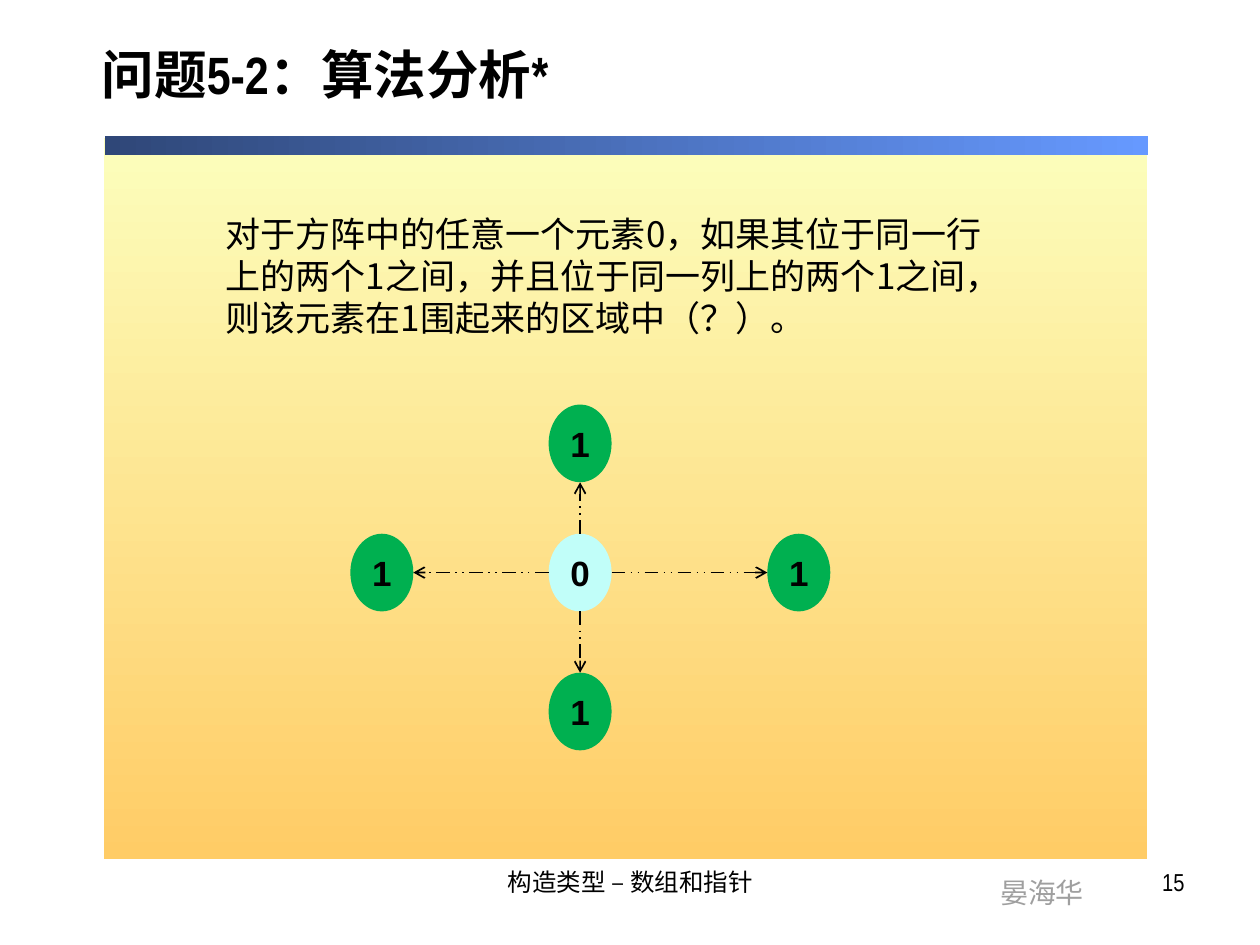
"""Build the slide that analyses the enclosed-region problem on a square matrix."""
from dataclasses import dataclass
from typing import Optional

from lxml.etree import SubElement
from pptx import Presentation
from pptx.dml.color import RGBColor as Rgb
from pptx.enum.dml import MSO_LINE_DASH_STYLE as Dash
from pptx.enum.shapes import MSO_CONNECTOR_TYPE as Connector, MSO_SHAPE as Preset
from pptx.enum.text import MSO_ANCHOR as Anchor, PP_ALIGN as Align
from pptx.oxml.ns import qn
from pptx.util import Pt


@dataclass(frozen=True)
class Theme:
    ink: str = "000000"
    muted: str = "9F9F9F"
    one: str = "00B050"
    zero: str = "C1FEF9"
    panel: tuple[str, str] = ("FCFEBC", "FFCC66")
    bar: tuple[str, str] = ("2F4778", "6699FF")
    sans: str = "Arial"
    narrow: str = "Arial Narrow"
    chinese: str = "Noto Sans CJK SC"
    title_size: float = 30
    body_size: float = 20
    author_size: float = 16
    footer_size: float = 14


@dataclass(frozen=True)
class Area:
    left: float
    top: float
    width: float
    height: float

    def lengths(self) -> tuple:
        return Pt(self.left), Pt(self.top), Pt(self.width), Pt(self.height)


@dataclass(frozen=True)
class Neighbour:
    across: int
    down: int
    distance: float


THEME = Theme()
CENTRE_X, CENTRE_Y = 331.5, 327.2
CELL_WIDTH, CELL_HEIGHT = 36, 44.4
NEIGHBOURS = (
    Neighbour(-1, 0, 113.3),
    Neighbour(0, 1, 79.4),
    Neighbour(0, -1, 73.8),
    Neighbour(1, 0, 125),
)


def write(shape, text: str, *, size: float, font: str, color: str = THEME.ink,
          bold: bool = False, align: Align = Align.LEFT, anchor: Anchor = Anchor.TOP,
          wrap: bool = True, spacing: Optional[float] = None) -> None:
    frame = shape.text_frame
    frame.word_wrap = wrap
    frame.vertical_anchor = anchor
    para = frame.paragraphs[0]
    para.alignment = align
    if spacing is not None:
        para.line_spacing = spacing
    span = para.add_run()
    span.text = text
    span.font.size = Pt(size)
    span.font.name = font
    span.font.bold = bold
    span.font.color.rgb = Rgb.from_string(color)
    SubElement(span.font._element, qn("a:ea")).set("typeface", THEME.chinese)


def add_text(page, area: Area, text: str, **style) -> None:
    write(page.shapes.add_textbox(*area.lengths()), text, **style)


def add_plain(page, preset: Preset, area: Area):
    shape = page.shapes.add_shape(preset, *area.lengths())
    shape.shadow.inherit = False
    shape.line.fill.background()
    return shape


def add_gradient(page, area: Area, colors: tuple[str, str], angle: float) -> None:
    fill = add_plain(page, Preset.RECTANGLE, area).fill
    fill.gradient()
    fill.gradient_angle = angle
    for stop, position, color in zip(fill.gradient_stops, (0, 1), colors):
        stop.position = position
        stop.color.rgb = Rgb.from_string(color)


def add_cell(page, x: float, y: float, digit: str, color: str) -> None:
    area = Area(x - CELL_WIDTH / 2, y - CELL_HEIGHT / 2, CELL_WIDTH, CELL_HEIGHT)
    cell = add_plain(page, Preset.OVAL, area)
    cell.fill.solid()
    cell.fill.fore_color.rgb = Rgb.from_string(color)
    write(cell, digit, size=THEME.body_size, font=THEME.sans, bold=True,
          align=Align.CENTER, anchor=Anchor.MIDDLE, wrap=False)


def add_arrow(page, near: Neighbour) -> None:
    radius = CELL_WIDTH / 2 if near.across else CELL_HEIGHT / 2
    start, end = radius, near.distance - radius
    arrow = page.shapes.add_connector(
        Connector.STRAIGHT,
        Pt(CENTRE_X + near.across * start), Pt(CENTRE_Y + near.down * start),
        Pt(CENTRE_X + near.across * end), Pt(CENTRE_Y + near.down * end))
    arrow.line.width = Pt(1)
    arrow.line.color.rgb = Rgb.from_string(THEME.ink)
    arrow.line.dash_style = Dash.DASH_DOT_DOT
    properties = arrow._element.spPr
    SubElement(properties.find(qn("a:ln")), qn("a:tailEnd")).set("type", "arrow")
    SubElement(properties, qn("a:effectLst"))


def main() -> None:
    deck = Presentation()
    deck.slide_width, deck.slide_height = Pt(720), Pt(540)
    page = deck.slides.add_slide(deck.slide_layouts[6])

    add_gradient(page, Area(59.5, 79, 596, 412), THEME.panel, 270)
    add_gradient(page, Area(60, 77.8, 596, 10.8), THEME.bar, 0)
    add_text(page, Area(564.5, 496.8, 62.6, 26.6), "晏海华", size=THEME.author_size,
             font=THEME.sans, color=THEME.muted, wrap=False)
    add_text(page, Area(51.1, 12.2, 645, 66.2), "问题5-2：算法分析*", size=THEME.title_size,
             font=THEME.narrow, bold=True, anchor=Anchor.MIDDLE, spacing=0.8)
    add_text(page, Area(246.2, 491.8, 228.2, 37.4), "构造类型 – 数组和指针",
             size=THEME.footer_size, font=THEME.narrow, align=Align.CENTER)
    add_text(page, Area(516.2, 491.8, 167.8, 37.4), "15",
             size=THEME.footer_size, font=THEME.narrow, align=Align.RIGHT)
    add_text(page, Area(121.7, 118, 447.8, 80),
             "对于方阵中的任意一个元素0，如果其位于同一行上的两个1之间，"
             "并且位于同一列上的两个1之间，则该元素在1围起来的区域中（？）。",
             size=THEME.body_size, font=THEME.chinese, spacing=Pt(24))

    for near in NEIGHBOURS:
        add_cell(page, CENTRE_X + near.across * near.distance,
                 CENTRE_Y + near.down * near.distance, "1", THEME.one)
    add_cell(page, CENTRE_X, CENTRE_Y, "0", THEME.zero)
    for near in NEIGHBOURS:
        add_arrow(page, near)

    deck.save("out.pptx")


if __name__ == "__main__":
    main()
